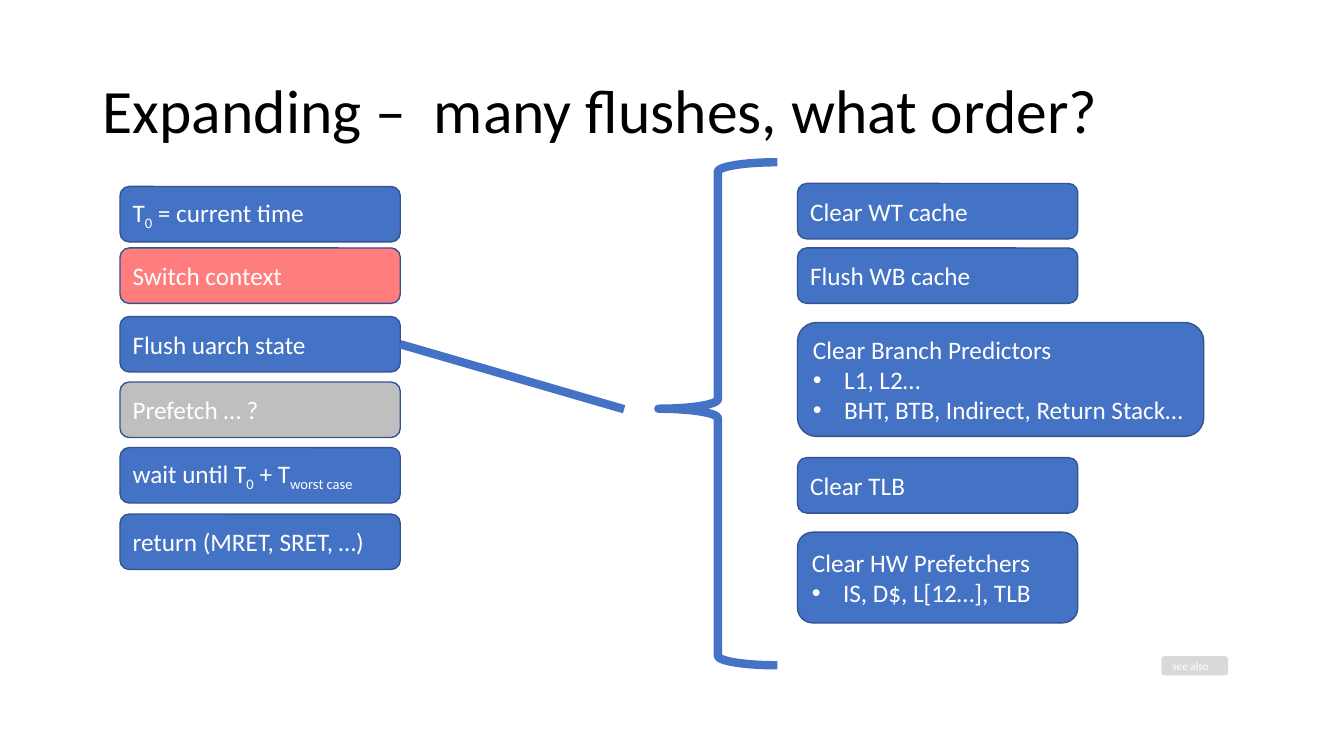
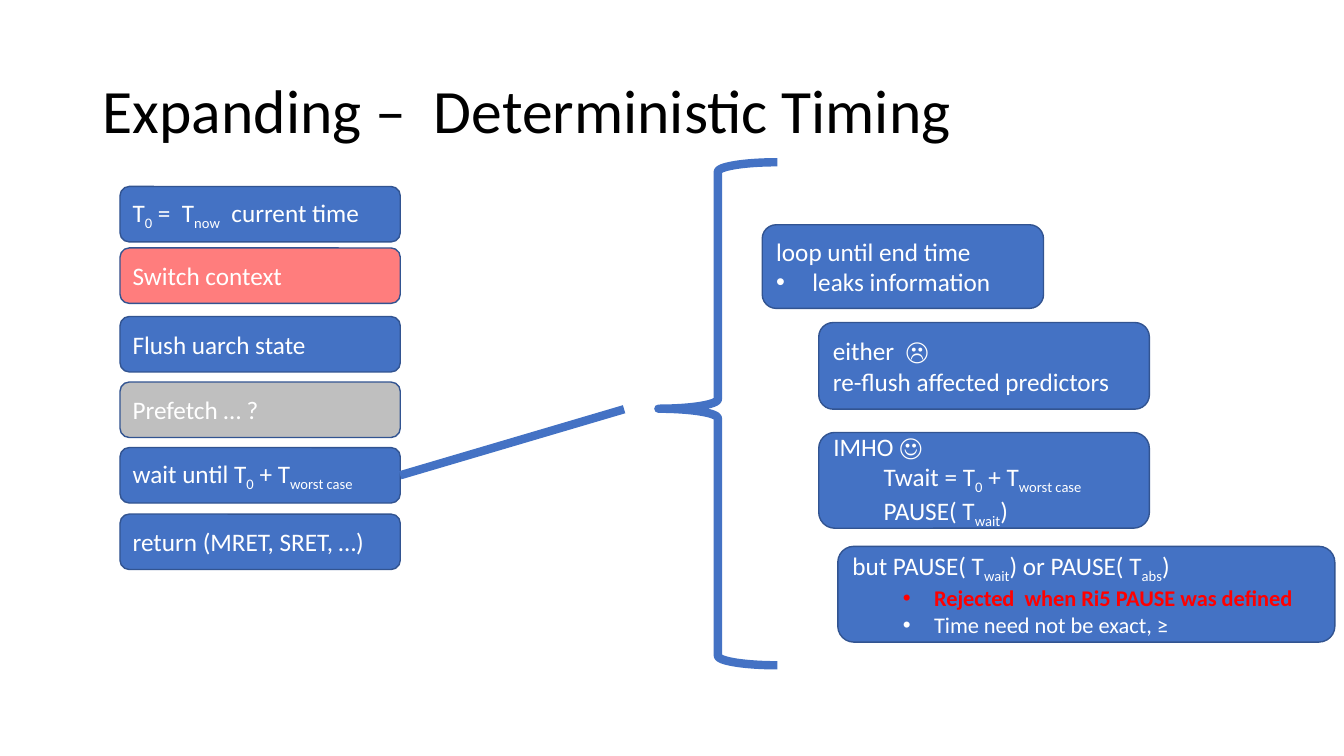
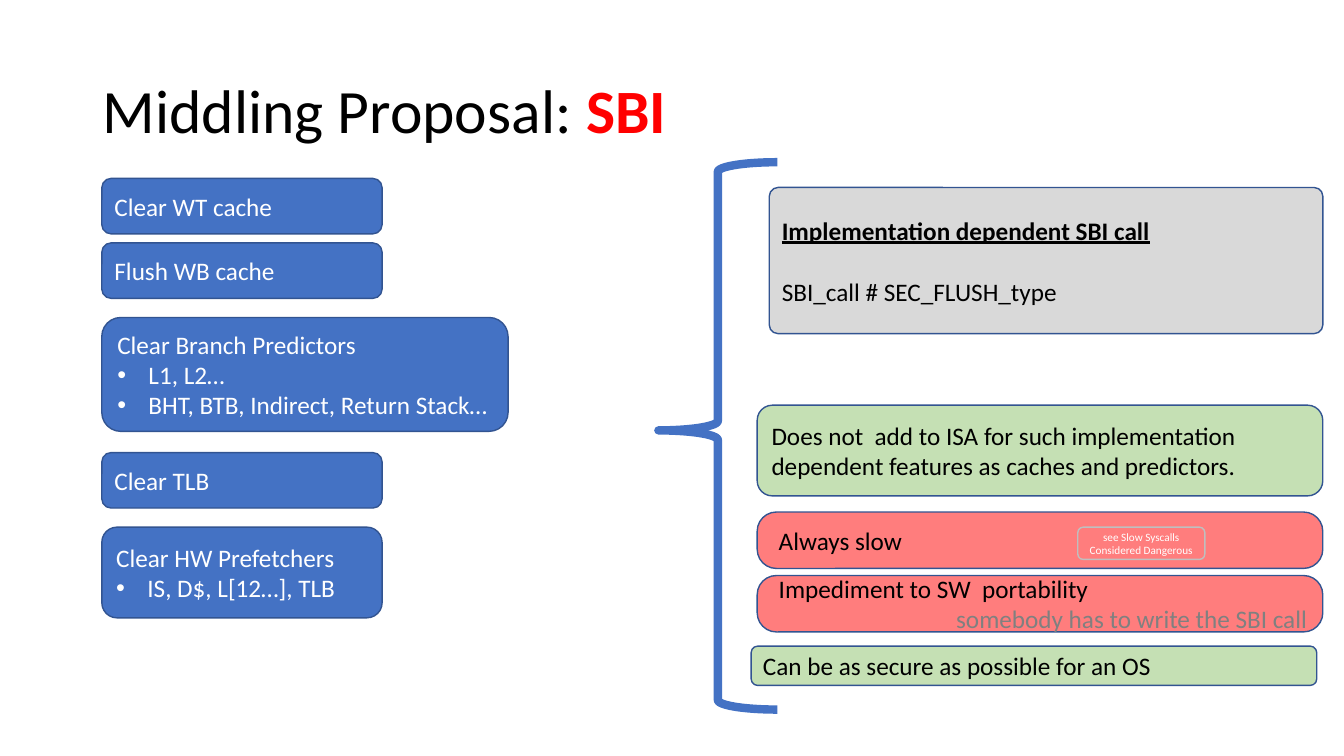
from dataclasses import dataclass

from lxml import etree
from pptx import Presentation
from pptx.dml.color import RGBColor
from pptx.enum.shapes import MSO_CONNECTOR, MSO_SHAPE
from pptx.enum.text import MSO_ANCHOR, PP_ALIGN
from pptx.oxml.ns import qn
from pptx.util import Inches, Pt

ROUNDED, BRACE = MSO_SHAPE.ROUNDED_RECTANGLE, MSO_SHAPE.LEFT_BRACE
STRAIGHT = MSO_CONNECTOR.STRAIGHT
MIDDLE = MSO_ANCHOR.MIDDLE
LEFT, CENTER, RIGHT = PP_ALIGN.LEFT, PP_ALIGN.CENTER, PP_ALIGN.RIGHT

FONT = "Calibri"
WHITE, BLACK, RED = "FFFFFF", "000000", "FF0000"
BLUE, OUTLINE, CORAL, GREEN = "4472C4", "325491", "FF7D7D", "C5E0B4"
SILVER, PALE, GREY = "BFBFBF", "D9D9D9", "808080"

TITLE_ONLY_LAYOUT = 5
RIGHT_SIDE = 3
STEP_LEFT, STEP_WIDTH, STEP_HEIGHT = 1.19, 2.78, 0.55
STEP_TOPS = (1.85, 2.46, 3.14, 3.79, 4.44, 5.1)
BRACE_LEFT, BRACE_TOP, BRACE_WIDTH = 6.53, 1.61, 1.18
LINK_END = (6.19, 4.06)


@dataclass(frozen=True)
class Run:
    text: str
    color: str | None = None
    size: float | None = None
    bold: bool = False
    underline: bool = False
    subscript: bool = False


@dataclass(frozen=True)
class Para:
    runs: tuple[Run, ...]
    bullet: bool = False
    margin: float = 0
    hanging: float = 0
    align: PP_ALIGN = LEFT
    before: float = 0


@dataclass(frozen=True)
class Box:
    left: float
    top: float
    width: float
    height: float
    paras: tuple[Para, ...]
    fill: str = BLUE
    color: str = WHITE
    size: float = 18
    line: str | None = OUTLINE
    corner: float | None = None


def rgb(value: str) -> RGBColor:
    return RGBColor.from_string(value)


def sub(text: str) -> Run:
    return Run(text, subscript=True)


def plain(*parts: str | Run, **layout) -> Para:
    runs = tuple(Run(part) if isinstance(part, str) else part for part in parts)
    return Para(runs, **layout)


def bullet(*parts: str | Run, margin: float = 0.31, hanging: float = 0.31) -> Para:
    return plain(*parts, bullet=True, margin=margin, hanging=hanging)


def write_run(paragraph, content: Run, color: str, size: float) -> None:
    run = paragraph.add_run()
    run.text = content.text
    run.font.name = FONT
    run.font.size = Pt(content.size or size)
    run.font.color.rgb = rgb(content.color or color)
    run.font.bold = content.bold
    run.font.underline = content.underline
    if content.subscript:
        run._r.get_or_add_rPr().set("baseline", "-25000")


def write_para(paragraph, content: Para, color: str, size: float) -> None:
    paragraph.alignment = content.align
    paragraph.space_before = Pt(content.before)
    properties = paragraph._p.get_or_add_pPr()
    properties.set("marL", str(Inches(content.margin)))
    properties.set("indent", str(Inches(-content.hanging)))
    if content.bullet:
        etree.SubElement(properties, qn("a:buFont"), typeface="Arial")
        etree.SubElement(properties, qn("a:buChar"), char="•")
    for run in content.runs:
        write_run(paragraph, run, color, size)


def add_box(slide, box: Box):
    shape = slide.shapes.add_shape(
        ROUNDED, Inches(box.left), Inches(box.top), Inches(box.width), Inches(box.height)
    )
    shape.shadow.inherit = False
    shape.fill.solid()
    shape.fill.fore_color.rgb = rgb(box.fill)
    if box.line:
        shape.line.color.rgb = rgb(box.line)
        shape.line.width = Pt(1)
    else:
        shape.line.fill.background()
    if box.corner is not None:
        shape.adjustments[0] = box.corner
    frame = shape.text_frame
    frame.word_wrap = True
    frame.vertical_anchor = MIDDLE
    for index, para in enumerate(box.paras):
        paragraph = frame.add_paragraph() if index else frame.paragraphs[0]
        write_para(paragraph, para, box.color, box.size)
    return shape


def add_brace(slide, height: float) -> None:
    brace = slide.shapes.add_shape(
        BRACE, Inches(BRACE_LEFT), Inches(BRACE_TOP), Inches(BRACE_WIDTH), Inches(height)
    )
    brace.shadow.inherit = False
    brace.fill.background()
    brace.line.color.rgb = rgb(BLUE)
    brace.line.width = Pt(6)
    brace.adjustments[0] = 0.08
    brace.adjustments[1] = 0.49


def add_link(slide, step) -> None:
    end_x, end_y = map(Inches, LINK_END)
    link = slide.shapes.add_connector(STRAIGHT, step.left, step.top, end_x, end_y)
    link.begin_connect(step, RIGHT_SIDE)
    link.line.color.rgb = rgb(BLUE)
    link.line.width = Pt(6)
    etree.SubElement(link._element.spPr, qn("a:effectLst"))


def add_steps(slide, start: Para) -> list:
    steps = (
        (start, BLUE),
        (plain("Switch context"), CORAL),
        (plain("Flush uarch state"), BLUE),
        (plain("Prefetch … ?"), SILVER),
        (plain("wait until T", sub("0"), " + T", sub("worst case")), BLUE),
        (plain("return (MRET, SRET, …)"), BLUE),
    )
    return [
        add_box(slide, Box(STEP_LEFT, top, STEP_WIDTH, STEP_HEIGHT, (text,), fill))
        for top, (text, fill) in zip(STEP_TOPS, steps)
    ]


def add_flushes(slide, left: float, top: float) -> None:
    predictors = (
        plain("Clear Branch Predictors"),
        bullet("L1, L2…"),
        bullet("BHT, BTB, Indirect, Return Stack…"),
    )
    prefetchers = (plain("Clear HW Prefetchers"), bullet("IS, D$, L[12…], TLB"))
    flushes = (
        (0, STEP_WIDTH, STEP_HEIGHT, (plain("Clear WT cache"),)),
        (0.64, STEP_WIDTH, STEP_HEIGHT, (plain("Flush WB cache"),)),
        (1.38, 4.03, 1.13, predictors),
        (2.72, STEP_WIDTH, STEP_HEIGHT, (plain("Clear TLB"),)),
        (3.46, STEP_WIDTH, 0.9, prefetchers),
    )
    for offset, width, height, paras in flushes:
        add_box(slide, Box(left, top + offset, width, height, paras))


def add_titled_slide(deck, *title_parts: str | Run):
    slide = deck.slides.add_slide(deck.slide_layouts[TITLE_ONLY_LAYOUT])
    title = slide.shapes.title
    title.left, title.top = Inches(0.92), Inches(0.4)
    title.width, title.height = Inches(11.5), Inches(1.45)
    title.text_frame.vertical_anchor = MIDDLE
    heading = title.text_frame.paragraphs[0]
    heading.line_spacing = 0.9
    write_para(heading, plain(*title_parts), BLACK, 44)
    return slide


def build_flush_order(deck) -> None:
    slide = add_titled_slide(deck, "Expanding –  many flushes, what order?")
    steps = add_steps(slide, plain("T", sub("0"), " = current time"))
    add_flushes(slide, 7.91, 1.82)
    add_brace(slide, 4.99)
    add_link(slide, steps[2])
    add_box(slide, Box(11.52, 6.51, 0.66, 0.19, (plain("see also"),), PALE, size=8, line=None))


def build_timing(deck) -> None:
    slide = add_titled_slide(deck, "Expanding –  Deterministic Timing")
    steps = add_steps(slide, plain("T", sub("0"), " =  T", sub("now"), "  current time"))
    add_brace(slide, 4.99)
    add_link(slide, steps[4])
    loop = (plain("loop until end time"), bullet("leaks information", margin=0.36, hanging=0.36))
    either = (plain("either  ☹"), plain("re-flush affected predictors"))
    opinion = (
        plain("IMHO ☺"),
        plain("Twait = T", sub("0"), " + T", sub("worst case"), margin=0.5),
        plain("PAUSE( T", sub("wait"), ")", margin=0.5),
    )
    objection = (
        plain("but PAUSE( T", sub("wait"), ") or PAUSE( T", sub("abs"), ")"),
        bullet(Run("Rejected  when Ri5 PAUSE was defined", RED, 16, bold=True), margin=0.81),
        bullet(Run("Time need not be exact, ≥", size=16), margin=0.81),
    )
    for box in (
        Box(7.56, 2.23, 2.79, 0.83, loop),
        Box(8.12, 3.2, 3.28, 0.86, either),
        Box(8.12, 4.29, 3.28, 0.95, opinion),
        Box(8.31, 5.42, 4.93, 0.95, objection),
    ):
        add_box(slide, box)


def build_sbi(deck) -> None:
    slide = add_titled_slide(deck, "Middling Proposal: ", Run("SBI", RED, bold=True))
    add_flushes(slide, 1.01, 1.77)
    add_brace(slide, 5.43)
    call = (
        plain(Run("Implementation dependent SBI call", bold=True, underline=True)),
        plain("SBI_call # SEC_FLUSH_type", before=22),
    )
    benefit = (
        plain(
            "Does not  add to ISA for such implementation dependent features "
            "as caches and predictors."
        ),
    )
    slow = (plain("Always slow", margin=0.06),)
    portability = (
        plain("Impediment to SW  portability", margin=0.06),
        plain(Run("somebody has to write the SBI call", GREY), align=RIGHT),
    )
    reference = (plain("see Slow Syscalls Considered Dangerous", align=CENTER),)
    security = (plain("Can be as secure as possible for an OS"),)
    for box in (
        Box(7.63, 1.86, 5.49, 1.45, call, PALE, BLACK, corner=0.06),
        Box(7.51, 4.02, 5.61, 0.9, benefit, GREEN, BLACK),
        Box(7.51, 5.08, 5.61, 0.56, slow, CORAL, BLACK, corner=0.34),
        Box(7.51, 5.71, 5.61, 0.56, portability, CORAL, BLACK, corner=0.34),
        Box(10.69, 5.23, 1.26, 0.32, reference, CORAL, size=8, line=SILVER),
        Box(7.45, 6.41, 5.61, 0.39, security, GREEN, BLACK),
    ):
        add_box(slide, box)


def main() -> None:
    deck = Presentation()
    deck.slide_width, deck.slide_height = Inches(13.33), Inches(7.5)
    build_flush_order(deck)
    build_timing(deck)
    build_sbi(deck)
    deck.save("out.pptx")


if __name__ == "__main__":
    main()
